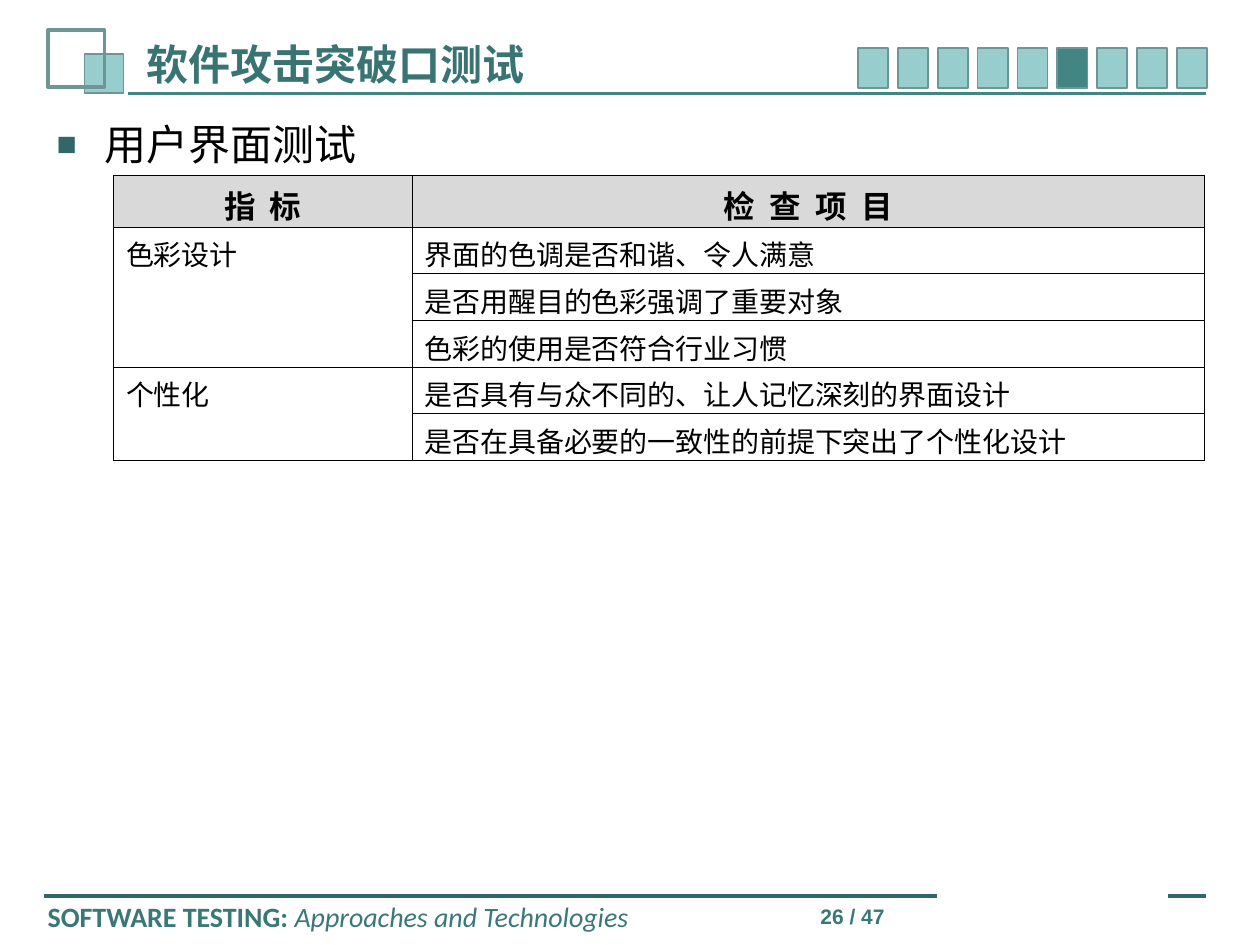
from lxml.etree import SubElement
from pptx import Presentation
from pptx.dml.color import RGBColor
from pptx.enum.shapes import MSO_CONNECTOR as Connector, MSO_SHAPE as Preset
from pptx.enum.text import MSO_ANCHOR as Anchor, MSO_AUTO_SIZE as AutoSize, PP_ALIGN as Align
from pptx.oxml.ns import qn
from pptx.util import Inches, Pt

TITLE = "软件攻击突破口测试"
TOPIC = "用户界面测试"
HEADINGS = ["指  标", "检  查  项  目"]
CHECKS = [
    ("色彩设计", [
        "界面的色调是否和谐、令人满意",
        "是否用醒目的色彩强调了重要对象",
        "色彩的使用是否符合行业习惯",
    ]),
    ("个性化", [
        "是否具有与众不同的、让人记忆深刻的界面设计",
        "是否在具备必要的一致性的前提下突出了个性化设计",
    ]),
]
COURSE = [("SOFTWARE TESTING:", True, False), (" Approaches and Technologies", False, True)]
PAGE = "26 / 47"

BLACK = RGBColor(0, 0, 0)
GREY = RGBColor(0xD9, 0xD9, 0xD9)
DARK = RGBColor(0x33, 0x66, 0x66)
TEAL = RGBColor(0x42, 0x86, 0x84)
PALE = RGBColor(0x97, 0xCD, 0xCC)
EDGE = RGBColor(0x6E, 0x96, 0x95)
TITLE_TEAL = RGBColor(0x39, 0x74, 0x73)
FOOTER_TEAL = RGBColor(0x3A, 0x78, 0x77)

LEFT, RIGHT = 0.35, 9.57
FOOTER_Y = 7.11
RULES = [
    (1.02, RIGHT, 0.74, TEAL, 1.5),
    (LEFT, 7.44, FOOTER_Y, DARK, 2.25),
    (9.27, RIGHT, FOOTER_Y, DARK, 2.25),
]
STEPS, CURRENT_STEP = 9, 5
STEP_LEFT, STEP_PITCH = 6.81, 2.53 / 8
COLUMNS = [2.37, 6.29]
HEADING_ROW, CHECK_ROW = 0.4, 0.37

prs = Presentation()
prs.slide_width, prs.slide_height = Inches(10), Inches(7.5)
slide = prs.slides.add_slide(prs.slide_layouts[1])
shapes = slide.shapes


def place(holder, left, top, width, height):
    holder.left, holder.top = Inches(left), Inches(top)
    holder.width, holder.height = Inches(width), Inches(height)
    frame = holder.text_frame
    frame.word_wrap = True
    frame.auto_size = AutoSize.NONE
    return frame


def write(paragraph, text, size, color, face="Calibri", bold=False, italic=False):
    run = paragraph.add_run()
    run.text = text
    font = run.font
    font.name, font.size, font.bold, font.italic = face, Pt(size), bold, italic
    font.color.rgb = color


def square(left, top, width, height, fill, weight=1):
    box = shapes.add_shape(Preset.RECTANGLE, *map(Inches, (left, top, width, height)))
    box.shadow.inherit = False
    if fill is None:
        box.fill.background()
    else:
        box.fill.solid()
        box.fill.fore_color.rgb = fill
    box.line.color.rgb = EDGE
    box.line.width = Pt(weight)


def rule(start, end, y, color, weight):
    line = shapes.add_connector(Connector.STRAIGHT, Inches(start), Inches(y), Inches(end), Inches(y))
    line.line.color.rgb = color
    line.line.width = Pt(weight)
    SubElement(line._element.spPr, qn("a:effectLst"))


def fill_cell(cell, text, size, bold=False, fill=None, align=Align.LEFT):
    cell.margin_bottom = 0
    paragraph = cell.text_frame.paragraphs[0]
    paragraph.alignment = align
    if text:
        write(paragraph, text, size, BLACK, "Arial", bold)
    properties = cell._tc.get_or_add_tcPr()
    for side in ("lnL", "lnR", "lnT", "lnB"):
        border = SubElement(properties, qn(f"a:{side}"), w=str(Pt(0.45)))
        SubElement(SubElement(border, qn("a:solidFill")), qn("a:srgbClr"), val=str(BLACK))
    if fill is None:
        cell.fill.background()
    else:
        cell.fill.solid()
        cell.fill.fore_color.rgb = fill


for ends in RULES:
    rule(*ends)

square(0.67, 0.43, 0.31, 0.31, PALE)
square(0.38, 0.24, 0.45, 0.45, None, 2.25)
for step in range(STEPS):
    square(STEP_LEFT + step * STEP_PITCH, 0.38, 0.24, 0.32, TEAL if step == CURRENT_STEP else PALE)

title_frame = place(shapes.title, 1.06, 0.26, 5.51, 0.49)
title_frame.vertical_anchor = Anchor.MIDDLE
title_frame.paragraphs[0].alignment = Align.LEFT
write(title_frame.paragraphs[0], TITLE, 24, TITLE_TEAL, bold=True)

topic = place(slide.placeholders[1], LEFT, 0.79, RIGHT - LEFT, 0.61).paragraphs[0]
bullet = topic._p.get_or_add_pPr()
bullet.set("marL", str(Inches(0.38)))
bullet.set("indent", str(-Inches(0.38)))
SubElement(SubElement(bullet, qn("a:buClr")), qn("a:srgbClr"), val=str(DARK))
SubElement(bullet, qn("a:buSzPct"), val="80000")
SubElement(bullet, qn("a:buChar"), char="■")
topic.line_spacing = 1.25
topic.space_before = Pt(0)
write(topic, TOPIC, 24, BLACK)

course = place(shapes.add_textbox(0, 0, 0, 0), 0.28, 7.09, 5.12, 0.37).paragraphs[0]
for words, bold, italic in COURSE:
    write(course, words, 16, FOOTER_TEAL, bold=bold, italic=italic)
page = place(shapes.add_textbox(0, 0, 0, 0), 6.1, 7.12, 1.02, 0.24).paragraphs[0]
page.alignment = Align.RIGHT
write(page, PAGE, 12, FOOTER_TEAL, "Arial", True)

row_heights = [HEADING_ROW] + [CHECK_ROW for _, items in CHECKS for _ in items]
table = shapes.add_table(
    len(row_heights), len(COLUMNS), Inches(0.9), Inches(1.39),
    Inches(sum(COLUMNS)), Inches(sum(row_heights)),
).table
table.horz_banding = False
for column, width in zip(table.columns, COLUMNS):
    column.width = Inches(width)
for row, height in zip(table.rows, row_heights):
    row.height = Inches(height)

for index, heading in enumerate(HEADINGS):
    fill_cell(table.cell(0, index), heading, 18, True, GREY, Align.CENTER)
first = 1
for indicator, items in CHECKS:
    for offset, item in enumerate(items):
        fill_cell(table.cell(first + offset, 0), "" if offset else indicator, 16)
        fill_cell(table.cell(first + offset, 1), item, 16)
    last = first + len(items) - 1
    table.cell(first, 0).merge(table.cell(last, 0))
    first = last + 1

prs.save("out.pptx")
